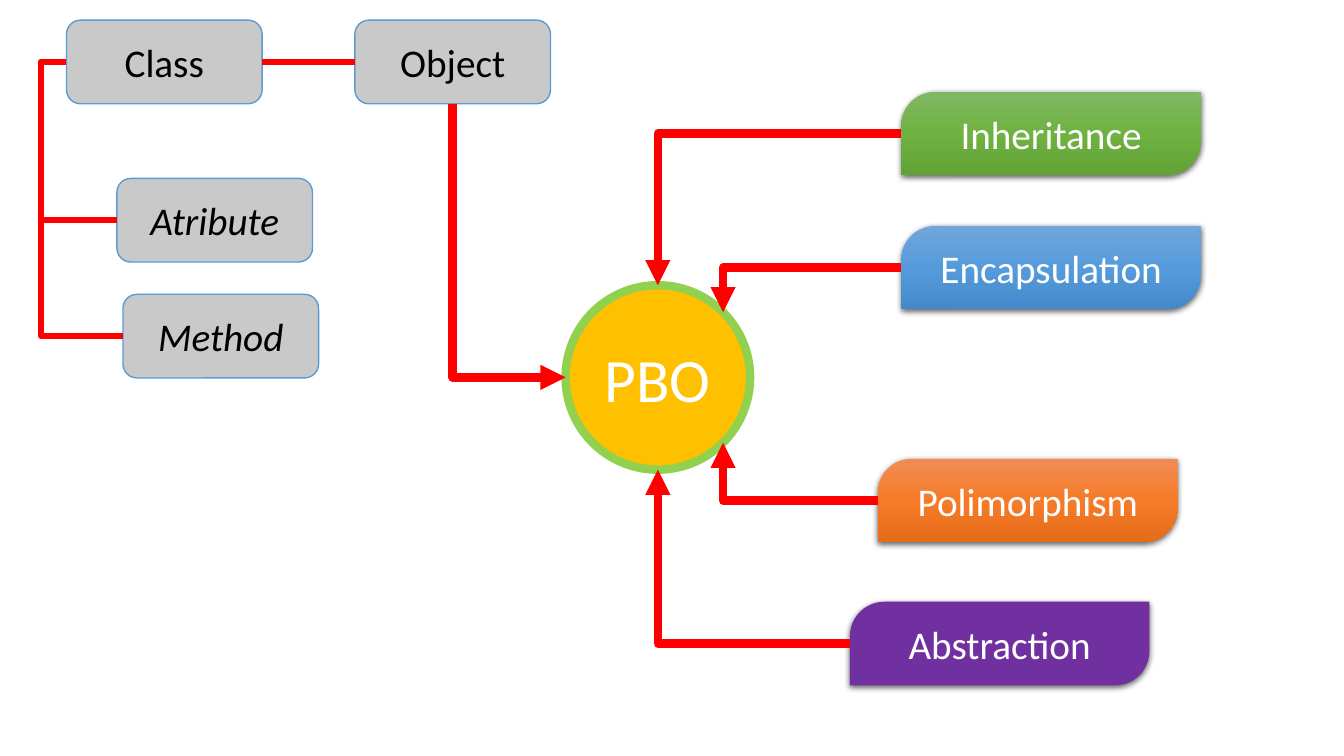
from copy import deepcopy
from dataclasses import dataclass
from math import cos, pi

from lxml.etree import SubElement
from pptx import Presentation
from pptx.dml.color import RGBColor
from pptx.enum.shapes import MSO_CONNECTOR as Link, MSO_SHAPE as Form
from pptx.enum.text import MSO_ANCHOR, PP_ALIGN
from pptx.oxml.ns import qn
from pptx.util import Inches, Pt

BLACK = RGBColor(0, 0, 0)
WHITE = RGBColor(0xFF, 0xFF, 0xFF)
RED = RGBColor(0xFF, 0, 0)
GREY = RGBColor(0xC9, 0xC9, 0xC9)
BLUE = RGBColor(0x5B, 0x9B, 0xD5)
AMBER = RGBColor(0xFF, 0xC0, 0)
LIME = RGBColor(0x92, 0xD0, 0x50)
PURPLE = RGBColor(0x70, 0x30, 0xA0)
GREENS = tuple(map(RGBColor.from_string, ("81B861", "6FB242", "62A336")))
BLUES = tuple(map(RGBColor.from_string, ("71A6DB", "559BDB", "448ACA")))
ORANGES = tuple(map(RGBColor.from_string, ("F18C57", "F67B28", "E56C19")))

BOX_HEIGHT = 0.83
PART_WIDTH = 1.94
PILLAR_WIDTH = 2.97
TRUNK_X = 0.41
THIN, THICK = 4.5, 6


@dataclass(frozen=True)
class Node:
    text: str
    left: float
    top: float
    width: float
    height: float = BOX_HEIGHT

    @property
    def right(self) -> float:
        return self.left + self.width

    @property
    def bottom(self) -> float:
        return self.top + self.height

    @property
    def center(self) -> float:
        return self.left + self.width / 2

    @property
    def middle(self) -> float:
        return self.top + self.height / 2


@dataclass(frozen=True)
class Pillar:
    node: Node
    colors: tuple[RGBColor, ...]
    target: tuple[float, float]


def add_node(slide, node: Node, form, color: RGBColor, size: int = 28, italic: bool = False):
    box = slide.shapes.add_shape(
        form, Inches(node.left), Inches(node.top), Inches(node.width), Inches(node.height)
    )
    box.shadow.inherit = False
    frame = box.text_frame
    frame.word_wrap = True
    frame.vertical_anchor = MSO_ANCHOR.MIDDLE
    para = frame.paragraphs[0]
    para.text = node.text
    para.alignment = PP_ALIGN.CENTER
    para.font.name = "Calibri"
    para.font.size = Pt(size)
    para.font.italic = italic
    para.font.color.rgb = color
    return box


def paint(box, fill: RGBColor, line: RGBColor, width: float) -> None:
    box.fill.solid()
    box.fill.fore_color.rgb = fill
    box.line.color.rgb = line
    box.line.width = Pt(width)


def add_pillar(slide, pillar: Pillar) -> None:
    box = add_node(slide, pillar.node, Form.ROUND_2_DIAG_RECTANGLE, WHITE)
    box.adjustments[0] = 0.41
    box.line.fill.background()
    properties = box.element.spPr
    if len(pillar.colors) == 1:
        box.fill.solid()
        box.fill.fore_color.rgb = pillar.colors[0]
    else:
        box.fill.gradient()
        box.fill.gradient_angle = 270
        stops = properties.find(".//" + qn("a:gsLst"))
        stops.insert(1, deepcopy(stops[0]))
        for index, (stop, color) in enumerate(zip(box.fill.gradient_stops, pillar.colors)):
            stop.position = index / 2
            stop.color.rgb = color
    shadow = SubElement(
        properties.find(qn("a:effectLst")), qn("a:outerShdw"),
        blurRad=str(Pt(4.5)), dist=str(Pt(1.5)), dir="5400000", algn="ctr", rotWithShape="0",
    )
    black = SubElement(shadow, qn("a:srgbClr"), val="000000")
    SubElement(black, qn("a:alpha"), val="63000")


def add_link(slide, kind, start: tuple[float, float], end: tuple[float, float], width: float):
    link = slide.shapes.add_connector(kind, *map(Inches, start + end))
    link.line.color.rgb = RED
    link.line.width = Pt(width)
    SubElement(link.element.spPr, qn("a:effectLst"))
    return link


def add_corner(slide, start: tuple[float, float], end: tuple[float, float], arrow: str) -> None:
    link = add_link(slide, Link.ELBOW, start, end, THICK)
    link.element.spPr.find(qn("a:prstGeom")).set("prst", "bentConnector2")
    SubElement(link.element.spPr.find(qn("a:ln")), qn(arrow), type="triangle")


def add_branch(slide, child: Node, parent: Node) -> None:
    link = add_link(
        slide, Link.ELBOW, (child.left, child.middle), (parent.left, parent.middle), THIN
    )
    bend = (child.left - TRUNK_X) / (child.left - parent.left)
    guides = link.element.spPr.find(".//" + qn("a:avLst"))
    SubElement(guides, qn("a:gd"), name="adj1", fmla=f"val {round(bend * 100000)}")


deck = Presentation()
deck.slide_width, deck.slide_height = Inches(13.33), Inches(7.5)
page = deck.slides.add_slide(deck.slide_layouts[6])

pbo = Node("PBO", 5.61, 2.83, 1.83, 1.83)
class_node = Node("Class", 0.66, 0.2, PART_WIDTH)
object_node = Node("Object", 3.52, 0.2, PART_WIDTH)
members = (Node("Atribute", 1.16, 1.77, PART_WIDTH), Node("Method", 1.22, 2.92, PART_WIDTH))

diagonal = pbo.width / 2 * cos(pi / 4)
side = pbo.center + diagonal
pillars = (
    Pillar(Node("Inheritance", 8.94, 0.91, PILLAR_WIDTH), GREENS, (pbo.center, pbo.top)),
    Pillar(Node("Encapsulation", 8.94, 2.24, PILLAR_WIDTH), BLUES, (side, pbo.middle - diagonal)),
    Pillar(Node("Polimorphism", 8.71, 4.55, PILLAR_WIDTH), ORANGES, (side, pbo.middle + diagonal)),
    Pillar(Node("Abstraction", 8.43, 5.97, PILLAR_WIDTH), (PURPLE,), (pbo.center, pbo.bottom)),
)

paint(add_node(page, pbo, Form.OVAL, WHITE, size=44), AMBER, LIME, 6)
for part in (class_node, object_node, *members):
    part_box = add_node(page, part, Form.ROUNDED_RECTANGLE, BLACK, italic=part in members)
    paint(part_box, GREY, BLUE, 1)

for member in members:
    add_branch(page, member, class_node)
add_link(
    page, Link.STRAIGHT, (class_node.right, class_node.middle),
    (object_node.left, object_node.middle), THIN,
)
add_corner(
    page, (pbo.left, pbo.middle), (object_node.center, object_node.bottom), "a:headEnd"
)
for pillar in pillars:
    add_pillar(page, pillar)
    add_corner(page, (pillar.node.left, pillar.node.middle), pillar.target, "a:tailEnd")

deck.save("out.pptx")
